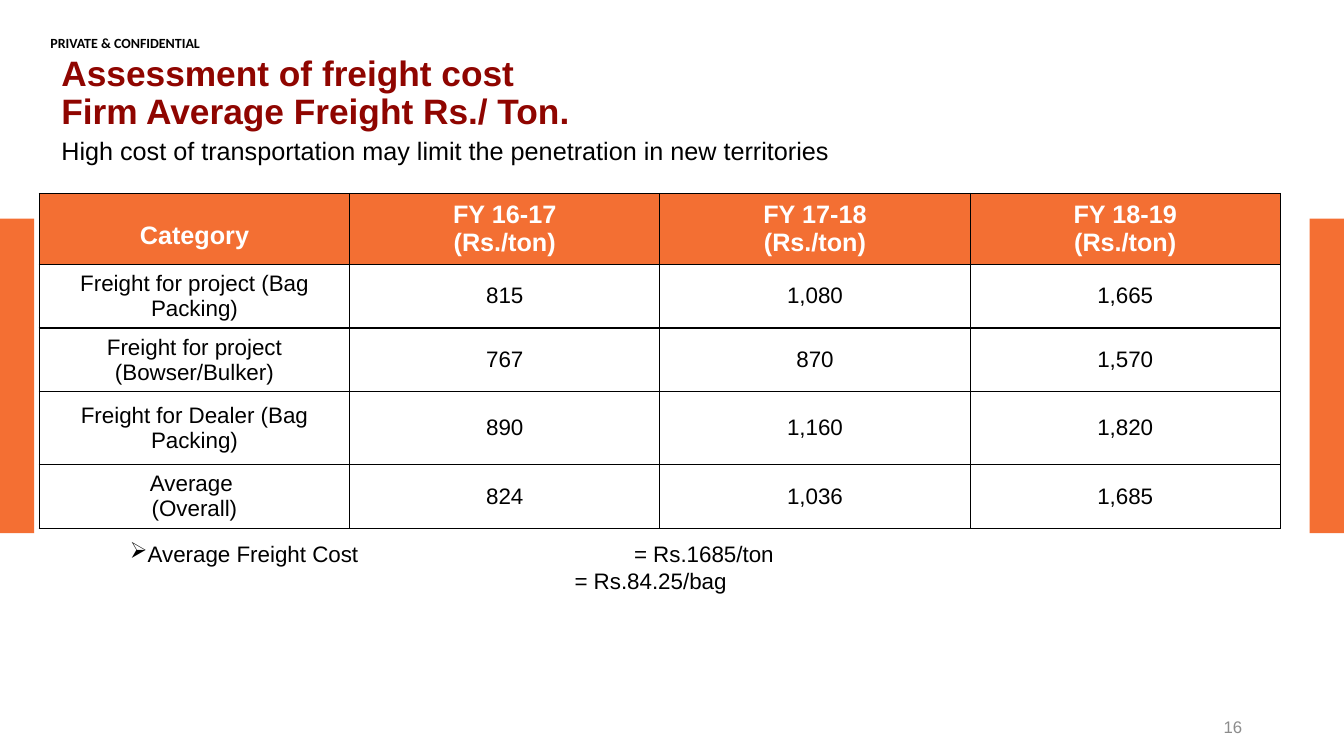
from lxml import etree
from pptx import Presentation
from pptx.dml.color import RGBColor
from pptx.enum.shapes import MSO_SHAPE as Shape
from pptx.enum.text import MSO_ANCHOR as Anchor, PP_ALIGN as Align
from pptx.oxml import parse_xml
from pptx.oxml.ns import nsdecls, qn
from pptx.util import Emu, Inches, Pt

ORANGE, RED, BLACK, WHITE, GREY = "F46F33", "8F0500", "000000", "FFFFFF", "8C8C8C"

deck = Presentation()
deck.slide_width, deck.slide_height = Inches(13.33), Inches(7.5)
slide = deck.slides.add_slide(deck.slide_layouts[6])


def color(hex_code):
    return RGBColor.from_string(hex_code)


def write(paragraph, text, size, hex_code, bold=False, font="Arial"):
    """Add text as runs, with a line break at each newline."""
    for i, line in enumerate(text.split("\n")):
        if i:
            paragraph.add_line_break()
        run = paragraph.add_run()
        run.text = line
        run.font.name, run.font.size, run.font.bold = font, Pt(size), bold
        run.font.color.rgb = color(hex_code)


# Side bars, one at each edge
bar_width = Inches(0.34)
for left in (0, deck.slide_width - bar_width):
    bar = slide.shapes.add_shape(Shape.RECTANGLE, left, Inches(2.17), bar_width, Inches(3.12))
    bar.shadow.inherit = False
    bar.fill.solid()
    bar.fill.fore_color.rgb = color(ORANGE)
    bar.line.fill.background()

# Heading, subtitle, confidentiality mark and page number
LEFT, MIDDLE, TOP = Align.LEFT, Anchor.MIDDLE, Anchor.TOP
labels = [
    # box, inset scale, anchor, alignment, line spacing, text, size, color, bold, font
    ((0.5, 0.34, 2.53, 0.12), 0, TOP, LEFT, 1, "PRIVATE & CONFIDENTIAL", 10, BLACK, True, "Calibri"),
    ((0.51, 0.58, 10.86, 0.71), 1, MIDDLE, LEFT, 0.9,
     "Assessment of freight cost\nFirm Average Freight Rs./ Ton.", 25.2, RED, True, "Arial"),
    ((0.51, 1.29, 8.09, 0.4), 1, TOP, LEFT, 1,
     "High cost of transportation may limit the penetration in new territories", 18, BLACK, False, "Arial"),
    ((9.42, 7.01, 3, 0.4), 1, MIDDLE, Align.RIGHT, 1, "16", 12, GREY, False, "Arial"),
]
for box, inset, anchor, align, spacing, *styled_text in labels:
    frame = slide.shapes.add_textbox(*map(Inches, box)).text_frame
    frame.word_wrap = True
    frame.vertical_anchor = anchor
    frame.margin_left = frame.margin_right = Inches(0.1 * inset)
    frame.margin_top = frame.margin_bottom = Inches(0.05 * inset)
    line = frame.paragraphs[0]
    line.alignment, line.line_spacing = align, spacing
    write(line, *styled_text)

# Freight table
freight = [
    ("Category", "FY 16-17\n(Rs./ton)", "FY 17-18\n(Rs./ton)", "FY 18-19\n(Rs./ton)"),
    ("Freight for project (Bag Packing)", "815", "1,080", "1,665"),
    ("Freight for project (Bowser/Bulker)", "767", "870", "1,570"),
    ("Freight for Dealer (Bag Packing)", "890", "1,160", "1,820"),
    ("Average \n(Overall)", "824", "1,036", "1,685"),
]
row_heights = [0.66, 0.59, 0.62, 0.72, 0.59]
table = slide.shapes.add_table(
    len(freight), len(freight[0]), Inches(0.39), Inches(1.92),
    Inches(12.31), Inches(sum(row_heights))).table
for column in table.columns:
    column.width = Emu(Inches(12.31) // len(freight[0]))

for r, (values, height) in enumerate(zip(freight, row_heights)):
    table.rows[r].height = Inches(height)
    is_header = r == 0
    for c, value in enumerate(values):
        cell = table.cell(r, c)
        cell.vertical_anchor = MIDDLE
        entry = cell.text_frame.paragraphs[0]
        entry.alignment = Align.CENTER
        if is_header and c == 0:
            entry.line_spacing = 1.5
        write(entry, value, 18 if is_header else 16, WHITE if is_header else BLACK, is_header)
        # Borders come before the fill in the cell properties
        properties = cell._tc.get_or_add_tcPr()
        for side in ("lnL", "lnR", "lnT", "lnB"):
            properties.append(parse_xml(
                f'<a:{side} {nsdecls("a")} w="{Pt(1)}"><a:solidFill>'
                f'<a:srgbClr val="{BLACK}"/></a:solidFill></a:{side}>'))
        if is_header:
            cell.fill.solid()
            cell.fill.fore_color.rgb = color("F36F33")
        else:
            cell.fill.background()

# Average cost per ton and per bag
summary = slide.shapes.add_textbox(*map(Inches, (1.19, 5.31, 6.74, 0.94))).text_frame
summary.word_wrap = True
per_ton = summary.paragraphs[0]
ton_properties = per_ton._p.get_or_add_pPr()
etree.SubElement(ton_properties, qn("a:buChar"), char="➢")
tabs = etree.SubElement(ton_properties, qn("a:tabLst"))
etree.SubElement(tabs, qn("a:tab"), pos=str(Inches(5)), algn="l")
write(per_ton, "Average Freight Cost\t= Rs.1685/ton", 16, BLACK)

per_bag = summary.add_paragraph()
per_bag._p.get_or_add_pPr().set("marL", str(Inches(4.41)))
write(per_bag, "= Rs.84.25/bag", 16, BLACK)

deck.save("out.pptx")
